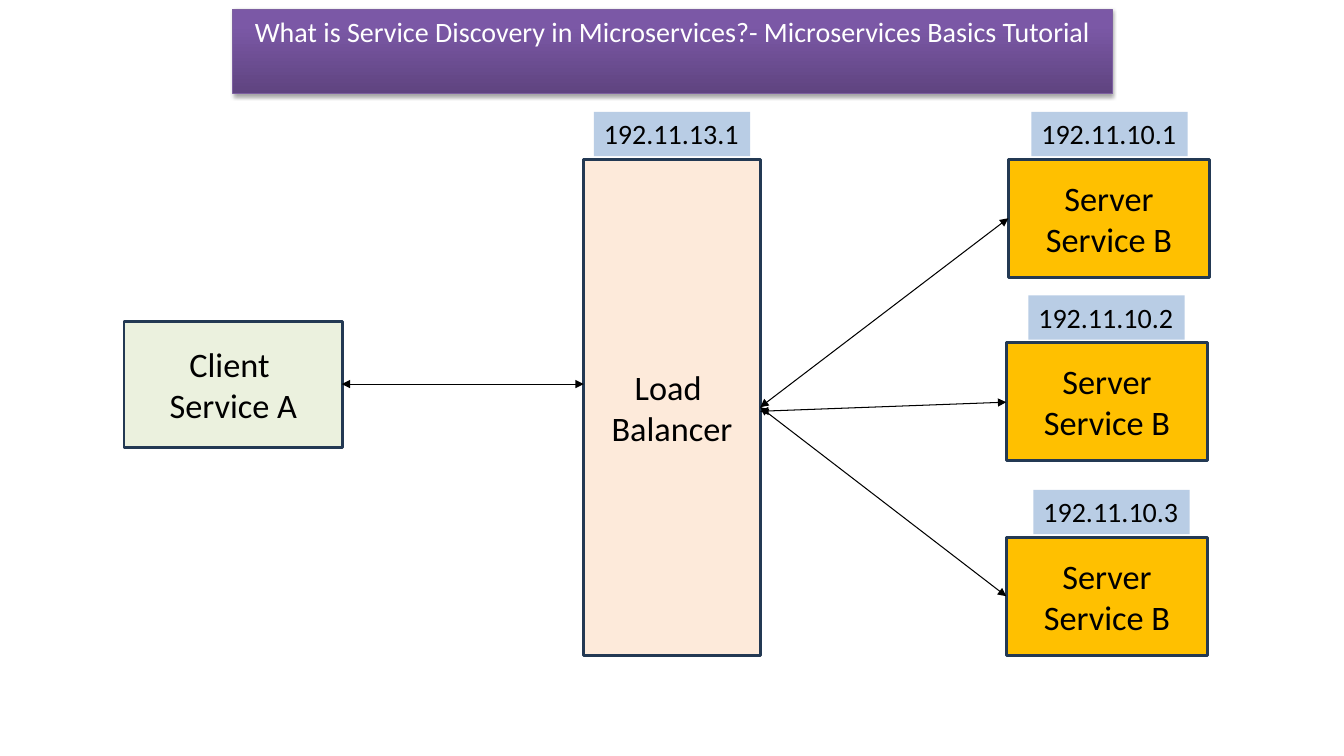
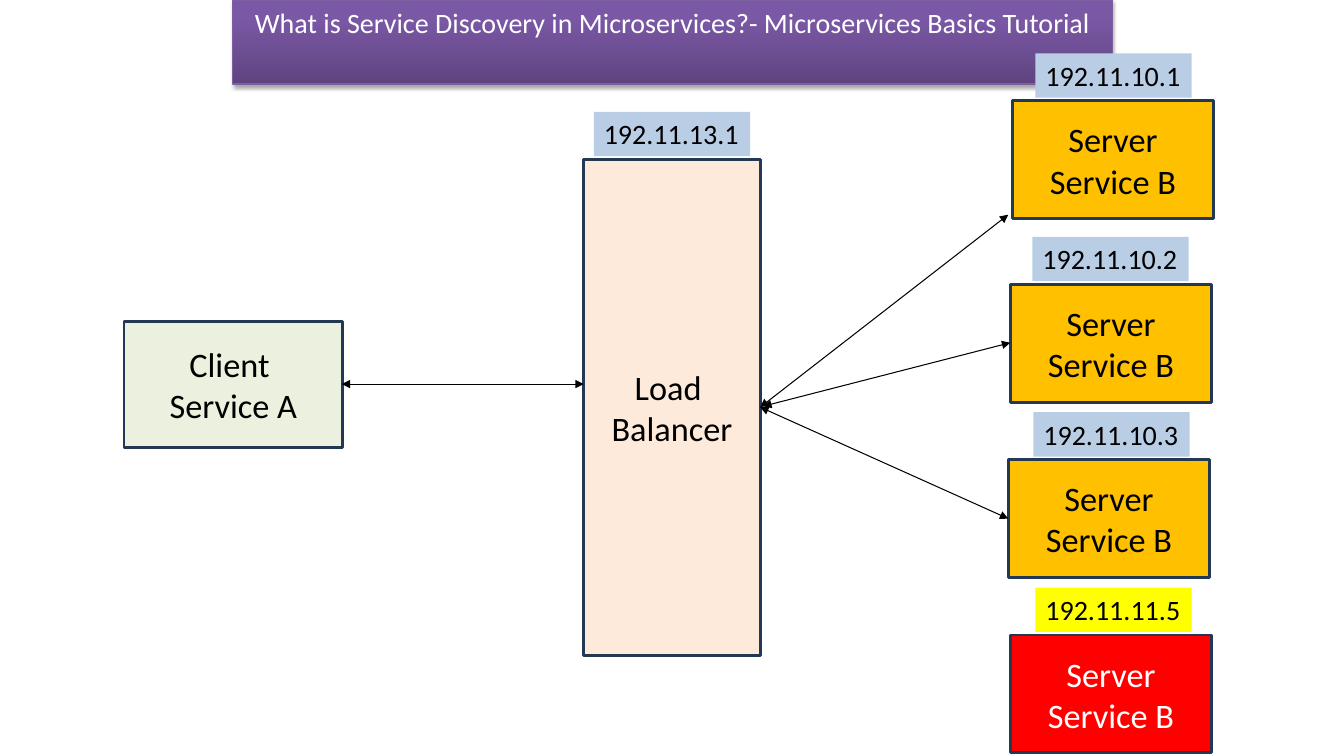
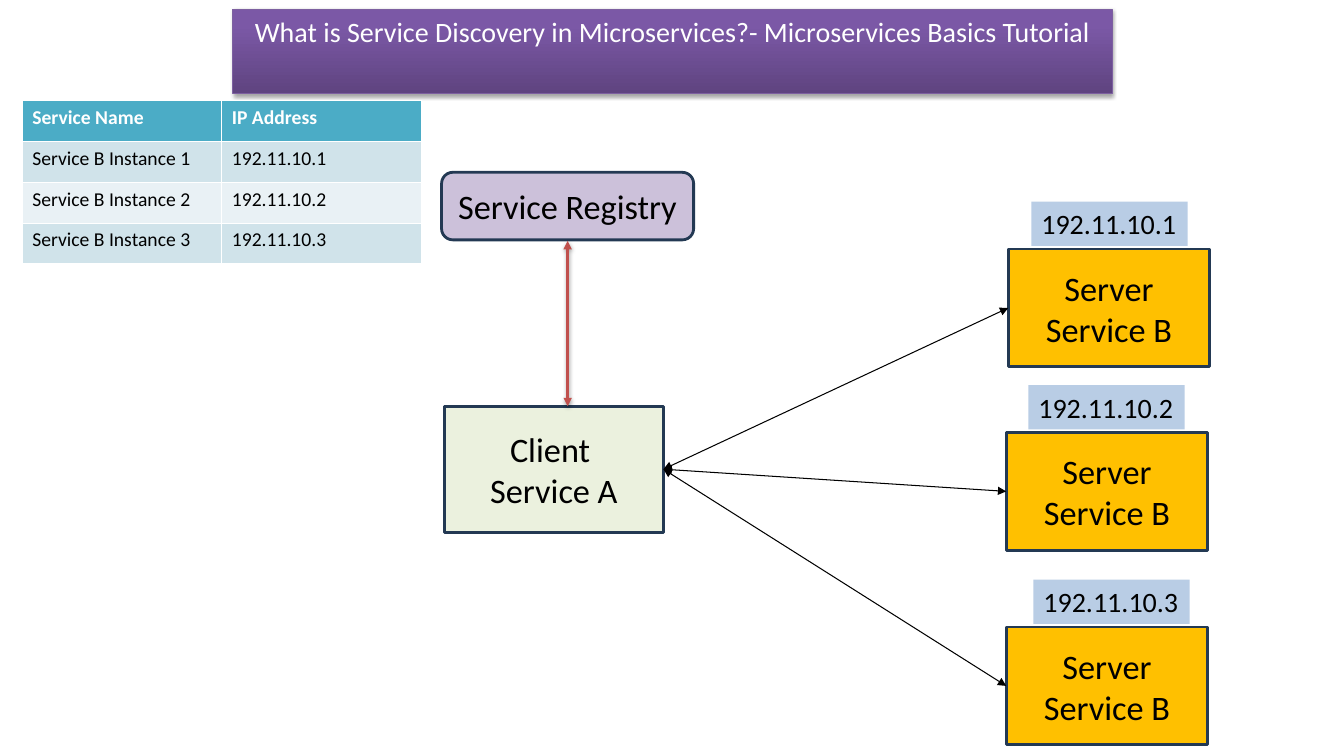
from copy import deepcopy

from lxml.etree import SubElement
from pptx import Presentation
from pptx.dml.color import RGBColor
from pptx.enum.shapes import MSO_CONNECTOR, MSO_SHAPE
from pptx.enum.text import MSO_ANCHOR, MSO_AUTO_SIZE, PP_ALIGN
from pptx.oxml.ns import qn
from pptx.util import Inches, Pt

# Shared look
FONT = "Calibri"
TITLE = "What is Service Discovery in Microservices?- Microservices Basics Tutorial"
BLACK = RGBColor(0x00, 0x00, 0x00)
WHITE = RGBColor(0xFF, 0xFF, 0xFF)
NAVY = RGBColor(0x23, 0x39, 0x53)
PURPLE_LINE = RGBColor(0x7D, 0x60, 0xA0)
PURPLE_STOPS = [(0, RGBColor(0x5F, 0x44, 0x80)), (0.8, RGBColor(0x7B, 0x58, 0xA6)),
                (1, RGBColor(0x7C, 0x57, 0xA8))]
LILAC = RGBColor(0xCC, 0xC1, 0xDA)
AMBER = RGBColor(0xFF, 0xC0, 0x00)
PEACH = RGBColor(0xFD, 0xEA, 0xDA)
GREEN = RGBColor(0xEB, 0xF1, 0xDE)
BLUE = RGBColor(0xB9, 0xCD, 0xE5)
RED = RGBColor(0xFF, 0x00, 0x00)
YELLOW = RGBColor(0xFF, 0xFF, 0x00)
BRICK = RGBColor(0xC0, 0x50, 0x4D)
TEAL = RGBColor(0x4B, 0xAC, 0xC6)
BANDS = [RGBColor(0xD0, 0xE3, 0xEA), RGBColor(0xE9, 0xF1, 0xF5)]

# Connection sites of a rectangle
LEFT, RIGHT = 1, 3

# Server column: left, top, label left, address
SERVERS = [(10, 1.58, 10.23, "192.11.10.1"),
           (9.98, 3.4, 10.2, "192.11.10.2"),
           (9.98, 5.33, 10.25, "192.11.10.3")]
CROWDED_SERVERS = [(10.04, 1, 10.27, "192.11.10.1"),
                   (10.02, 2.82, 10.24, "192.11.10.2"),
                   (10, 4.56, 10.25, "192.11.10.3")]
REGISTRY_ROWS = [("Service Name", "IP Address")] + [
    (f"Service B Instance {i}", ip) for i, (*_, ip) in enumerate(SERVERS, 1)]


def write(tf, lines, size, color=BLACK, align=PP_ALIGN.CENTER, bold=False):
    for i, line in enumerate(lines):
        p = tf.paragraphs[0] if i == 0 else tf.add_paragraph()
        p.alignment = align
        r = p.add_run()
        r.text = line
        r.font.name, r.font.size, r.font.bold = FONT, Pt(size), bold
        r.font.color.rgb = color


def set_effects(sp, alpha=None, dist=0):
    """Add an effect list: empty, or a soft shadow straight below."""
    effects = SubElement(sp._element.spPr, qn("a:effectLst"))
    if alpha:
        shadow = SubElement(effects, qn("a:outerShdw"), blurRad=str(Pt(3.1)),
                            dist=str(Pt(dist)), dir="5400000", rotWithShape="0")
        clr = SubElement(shadow, qn("a:srgbClr"), val=str(BLACK))
        SubElement(clr, qn("a:alpha"), val=str(alpha * 1000))


def new_slide(prs, title_top=0.09):
    """Add a slide with the purple title band."""
    s = prs.slides.add_slide(prs.slide_layouts[5])
    sp = s.shapes.title
    sp.left, sp.top, sp.width, sp.height = map(Inches, (2.31, title_top, 8.72, 0.44))
    sp.fill.gradient()
    sp.fill.gradient_angle = 90
    stop_list = sp._element.spPr.find(qn("a:gradFill")).find(qn("a:gsLst"))
    stop_list.append(deepcopy(stop_list[-1]))
    for stop, (position, color) in zip(sp.fill.gradient_stops, PURPLE_STOPS):
        stop.position = position
        stop.color.rgb = color
    sp.line.color.rgb, sp.line.width = PURPLE_LINE, Pt(0.75)
    set_effects(sp, alpha=35, dist=1.8)
    tf = sp.text_frame
    tf.word_wrap, tf.vertical_anchor = True, MSO_ANCHOR.TOP
    tf.auto_size = MSO_AUTO_SIZE.SHAPE_TO_FIT_TEXT
    write(tf, [TITLE], 20, WHITE)
    return s


def add_box(s, x, y, w, h, lines, fill, color=BLACK, shape=MSO_SHAPE.RECTANGLE):
    sp = s.shapes.add_shape(shape, *map(Inches, (x, y, w, h)))
    sp.shadow.inherit = False
    sp.fill.solid()
    sp.fill.fore_color.rgb = fill
    sp.line.color.rgb, sp.line.width = NAVY, Pt(2)
    sp.text_frame.word_wrap = True
    sp.text_frame.vertical_anchor = MSO_ANCHOR.MIDDLE
    write(sp.text_frame, lines, 24.5, color)
    return sp


def add_address(s, x, y, ip, fill=BLUE):
    sp = s.shapes.add_textbox(*map(Inches, (x, y, 1.55, 0.44)))
    sp.fill.solid()
    sp.fill.fore_color.rgb = fill
    sp.text_frame.word_wrap = False
    sp.text_frame.auto_size = MSO_AUTO_SIZE.SHAPE_TO_FIT_TEXT
    write(sp.text_frame, [ip], 20, align=PP_ALIGN.LEFT)


def add_server(s, x, y, label_x, ip, fill=AMBER, color=BLACK, label_fill=BLUE):
    add_address(s, label_x, y - 0.47, ip, label_fill)
    return add_box(s, x, y, 2, 1.17, ["Server", "Service B"], fill, color)


def add_client(s, x, y):
    return add_box(s, x, y, 2.17, 1.25, ["Client ", "Service A"], GREEN)


def add_balancer(s):
    add_address(s, 5.89, 1.11, "192.11.13.1")
    return add_box(s, 5.79, 1.58, 1.75, 4.92, ["Load ", "Balancer"], PEACH)


def add_arrow(s, start=(0, 0), end=(0, 0), color=BLACK, width=0.75):
    """Draw a double-headed arrow between two points."""
    c = s.shapes.add_connector(MSO_CONNECTOR.STRAIGHT, *map(Inches, (*start, *end)))
    c.line.color.rgb, c.line.width = color, Pt(width)
    ln = c.line._get_or_add_ln()
    for tag in ("a:headEnd", "a:tailEnd"):
        SubElement(ln, qn(tag), type="triangle")
    return c


def add_plain_arrow(s, start, end):
    set_effects(add_arrow(s, start, end))


def link(s, source, target):
    """Join the right side of one box to the left side of another."""
    c = add_arrow(s)
    c.begin_connect(source, RIGHT)
    c.end_connect(target, LEFT)
    set_effects(c)


def add_registry_table(s):
    table = s.shapes.add_table(len(REGISTRY_ROWS), 2,
                               *map(Inches, (0.22, 1, 3.96, 1.62))).table
    for i, row in enumerate(REGISTRY_ROWS):
        header = i == 0
        for j, text in enumerate(row):
            cell = table.cell(i, j)
            cell.fill.solid()
            cell.fill.fore_color.rgb = TEAL if header else BANDS[(i - 1) % 2]
            write(cell.text_frame, [text], 14, WHITE if header else BLACK,
                  PP_ALIGN.LEFT, bold=header)


def balanced_slide(prs):
    s = new_slide(prs)
    first, _, third = [add_server(s, *row) for row in SERVERS]
    balancer = add_balancer(s)
    add_client(s, 1.23, 3.19)
    add_plain_arrow(s, (3.39, 3.81), (5.79, 3.81))
    link(s, balancer, first)
    add_plain_arrow(s, (7.54, 4.08), (9.98, 3.99))
    link(s, balancer, third)


def new_server_slide(prs):
    s = new_slide(prs, title_top=0)
    third = [add_server(s, *row) for row in CROWDED_SERVERS][-1]
    add_server(s, 10.02, 6.3, 10.27, "192.11.11.5", RED, WHITE, YELLOW)
    balancer = add_balancer(s)
    add_client(s, 1.23, 3.19)
    add_plain_arrow(s, (3.39, 3.81), (5.79, 3.81))
    add_plain_arrow(s, (7.54, 4.04), (10, 2.13))
    add_plain_arrow(s, (7.57, 4.03), (10.02, 3.4))
    link(s, balancer, third)


def registry_slide(prs):
    s = new_slide(prs)
    client = add_client(s, 4.41, 4.03)
    for x, y, label_x, ip in SERVERS:
        link(s, client, add_server(s, x, y + 0.89, label_x, ip))
    add_box(s, 4.38, 1.71, 2.5, 0.67, ["Service Registry"], LILAC,
            shape=MSO_SHAPE.ROUNDED_RECTANGLE)
    add_registry_table(s)
    lookup = add_arrow(s, (5.63, 2.39), (5.63, 4.03), BRICK, 2)
    set_effects(lookup, alpha=38, dist=1.6)


def main():
    prs = Presentation()
    prs.slide_width, prs.slide_height = Inches(13.33), Inches(7.5)
    balanced_slide(prs)
    new_server_slide(prs)
    registry_slide(prs)
    prs.save("out.pptx")


if __name__ == "__main__":
    main()
